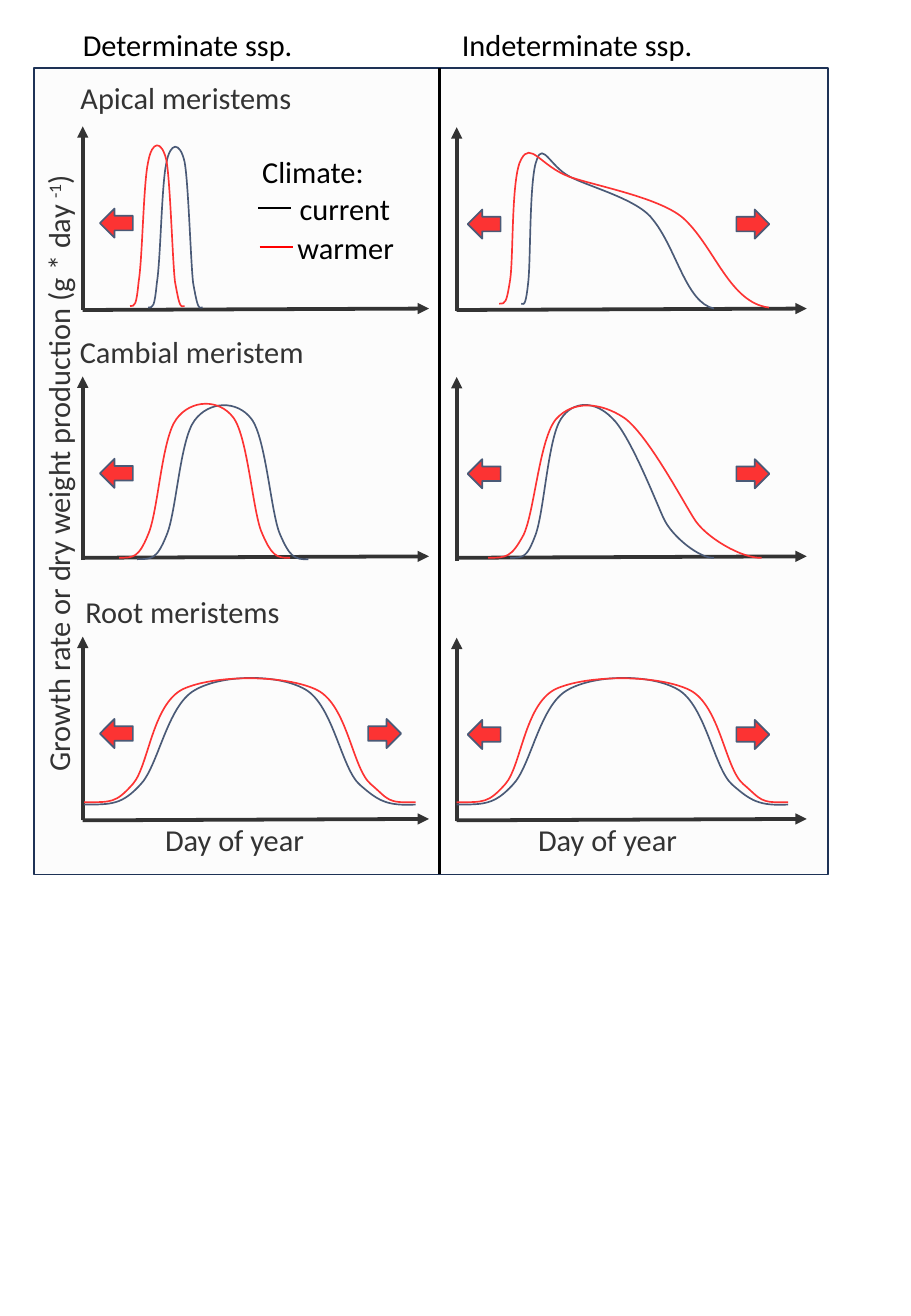
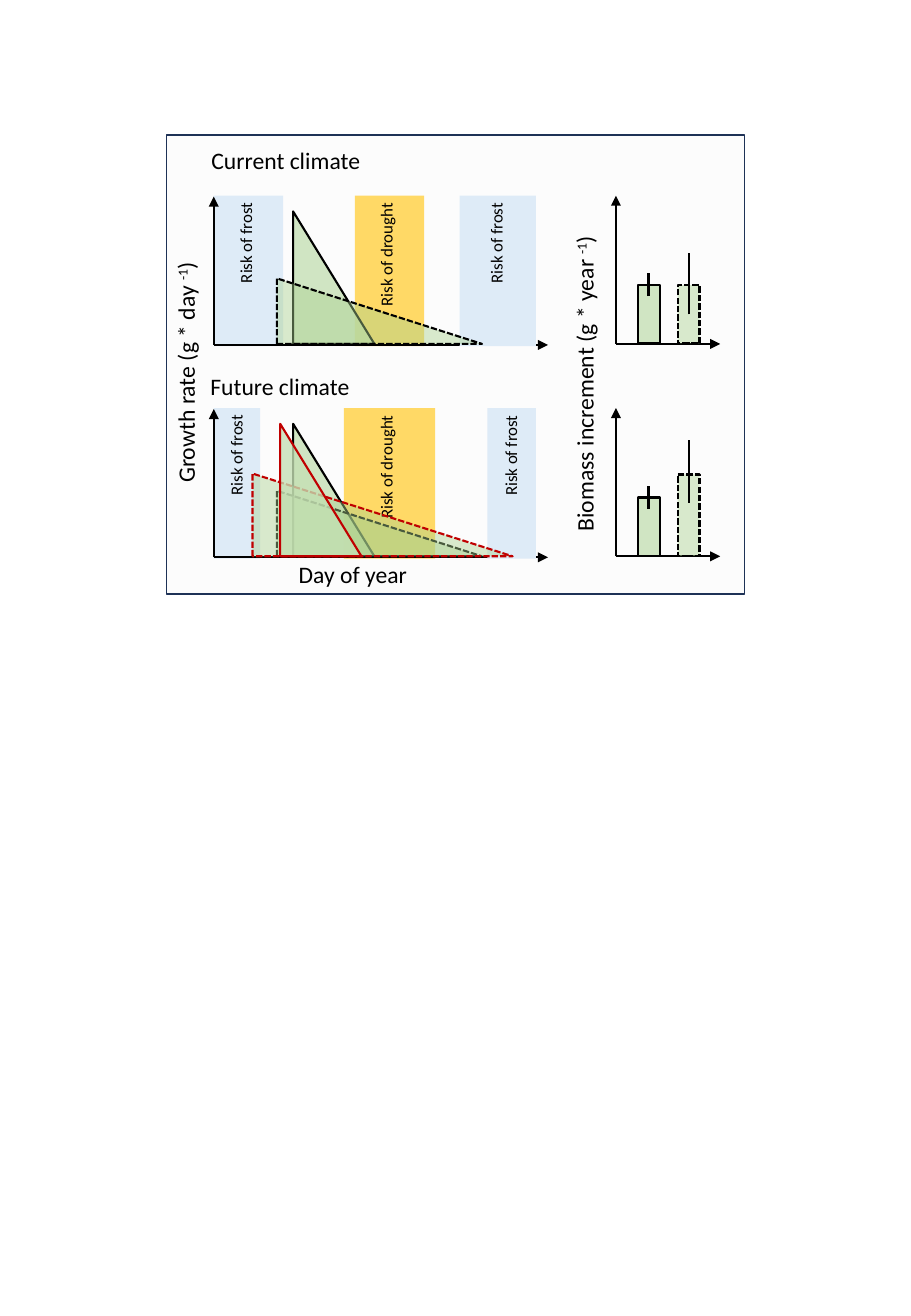
from lxml import etree
from pptx import Presentation
from pptx.dml.color import RGBColor
from pptx.enum.dml import MSO_LINE
from pptx.enum.shapes import MSO_CONNECTOR, MSO_SHAPE
from pptx.enum.text import PP_ALIGN
from pptx.oxml.ns import qn
from pptx.util import Cm, Pt

BLACK = RGBColor(0x00, 0x00, 0x00)
NAVY = RGBColor(0x1E, 0x32, 0x56)
RED = RGBColor(0xFF, 0x00, 0x00)
DARK_RED = RGBColor(0xC0, 0x00, 0x00)
GREY = RGBColor(0xF2, 0xF2, 0xF2)
FROST = RGBColor(0xDE, 0xEB, 0xF7)
DROUGHT = RGBColor(0xFF, 0xD9, 0x66)
LIGHT_GREEN = RGBColor(0xC5, 0xE0, 0xB4)
GREEN = RGBColor(0xA9, 0xD1, 0x8E)
FONT = "Calibri"
STRAIGHT = MSO_CONNECTOR.STRAIGHT
RECT = MSO_SHAPE.RECTANGLE
TRIANGLE = MSO_SHAPE.RIGHT_TRIANGLE
LEFT_ARROW = MSO_SHAPE.LEFT_ARROW
DASH = MSO_LINE.SQUARE_DOT
LEFT, CENTER = PP_ALIGN.LEFT, PP_ALIGN.CENTER


def style(shp, line=None, width=1, fill=None, alpha=100, dash=None, arrow=False):
    """Set fill, outline and arrowhead of a shape or connector, without shadow."""
    spPr = shp._element.spPr
    if fill is not None:
        shp.fill.solid()
        shp.fill.fore_color.rgb = fill
        if alpha < 100:
            color = spPr.find(qn("a:solidFill"))[0]
            etree.SubElement(color, qn("a:alpha"), val=str(alpha * 1000))
    elif hasattr(shp, "fill"):
        shp.fill.background()
    if line is None:
        shp.line.fill.background()
    else:
        shp.line.color.rgb = line
        shp.line.width = Pt(width)
        if dash:
            shp.line.dash_style = dash
    if arrow:
        etree.SubElement(spPr.find(qn("a:ln")), qn("a:tailEnd"), type="triangle")
    etree.SubElement(spPr, qn("a:effectLst"))


def add_text(s, text, x, y, w, h, size, align=CENTER, rotation=0):
    """Add a text box; a part between ^ signs is set as superscript."""
    tb = s.shapes.add_textbox(Cm(x), Cm(y), Cm(w), Cm(h))
    tb.rotation = rotation
    tf = tb.text_frame
    tf.word_wrap = size < 18
    p = tf.paragraphs[0]
    p.alignment = align
    for i, part in enumerate(text.split("^")):
        r = p.add_run()
        r.text = part
        r.font.name, r.font.size = FONT, Pt(size)
        r.font.color.rgb = BLACK
        if i % 2:
            r._r.get_or_add_rPr().set("baseline", "30000")


prs = Presentation()
prs.slide_width, prs.slide_height = Cm(19.05), Cm(27.51)
blank = prs.slide_layouts[6]

# Slide 1: growth curves, two species types by three meristems
s = prs.slides.add_slide(blank)

# Bezier points (x, height) in cm, measured from the origin of each plot
apical = [(1.37, .05), (1.47, .05), (1.5, .05), (1.55, .56), (1.63, 1.04), (1.65, 2.64),
          (1.75, 3.07), (1.83, 3.51), (2.03, 3.53), (2.13, 3.1), (2.21, 2.69), (2.26, .97),
          (2.31, .56), (2.39, .13), (2.41, 0), (2.51, .05)]
apical_long = [(1.35, .13), (1.42, .1), (1.45, .13), (1.5, .61), (1.55, 1.12), (1.52, 2.79),
               (1.68, 3.15), (1.8, 3.51), (1.96, 3), (2.36, 2.79), (2.77, 2.57), (3.81, 2.31),
               (4.11, 1.88), (4.6, 1.27), (4.8, .15), (5.38, .03)]
apical_long_warm = [(.89, .13), (1.02, .13), (1.04, .13), (1.12, .64), (1.19, 1.14),
                    (1.14, 2.79), (1.35, 3.15), (1.55, 3.53), (1.75, 3.02), (2.34, 2.79),
                    (2.9, 2.59), (4.32, 2.34), (4.78, 1.88), (5.41, 1.27), (5.72, .15),
                    (6.53, .05)]
cambial = [(1.14, -.03), (1.45, -.03), (1.55, -.03), (1.75, .46), (1.96, .94), (2.03, 2.46),
           (2.34, 2.87), (2.64, 3.28), (3.23, 3.3), (3.53, 2.9), (3.84, 2.49), (3.94, .86),
           (4.14, .46), (4.32, .05), (4.42, -.05), (4.72, -.03)]
cambial_long = [(1.12, 0), (1.4, 0), (1.47, 0), (1.65, .48), (1.83, .97), (1.91, 2.49),
                (2.18, 2.9), (2.44, 3.3), (2.9, 3.28), (3.25, 2.92), (3.61, 2.59),
                (4.14, 1.24), (4.32, .84), (4.5, .43), (5.11, -.03), (5.38, 0)]
cambial_long_warm = [(.66, 0), (1.04, 0), (1.14, 0), (1.4, .48), (1.63, .97), (1.73, 2.49),
                     (2.08, 2.9), (2.44, 3.3), (3.02, 3.25), (3.51, 2.92), (3.99, 2.57),
                     (4.7, 1.24), (4.95, .84), (5.18, .43), (5.99, -.03), (6.38, 0)]
root = [(0, .33), (.58, .33), (.79, .33), (1.17, .74), (1.55, 1.12), (1.73, 2.39),
        (2.31, 2.72), (2.87, 3.05), (4.04, 3.07), (4.62, 2.74), (5.21, 2.41), (5.38, 1.07),
        (5.77, .74), (6.15, .41), (6.32, .3), (6.93, .33)]
root_warm = [(0, .38), (.58, .38), (.66, .36), (1.02, .76), (1.35, 1.14), (1.42, 2.41),
             (2.06, 2.74), (2.72, 3.05), (4.22, 3.05), (4.88, 2.72), (5.51, 2.39),
             (5.61, 1.09), (5.99, .76), (6.38, .43), (6.32, .36), (6.93, .38)]
apical_warm = [(x - .38, h + .03) for x, h in apical]
cambial_warm = [(x - .38, h + .03) for x, h in cambial]
root_left, root_left_warm = ([(x + .03, h) for x, h in pts] for pts in (root, root_warm))

# Plots: origin, foot of the y axis, x axis length, x of the arrows, curves
X1, X2 = 1.73, 9.55
Y1, Y2, Y3 = 6.48, 11.66, 17.15
plots = [
    (X1, Y1, 6.48, 7.24, .36, None, apical, apical_warm),
    (X2, Y1, 6.5, 7.32, .23, 5.85, apical_long, apical_long_warm),
    (X1, Y2, 11.71, 7.24, .36, None, cambial, cambial_warm),
    (X2, Y2, 11.72, 7.32, .23, 5.85, cambial_long, cambial_long_warm),
    (X1, Y3, 17.15, 7.24, .36, 5.97, root_left, root_left_warm),
    (X2, Y3, 17.17, 7.32, .23, 5.85, root, root_warm),
]
for x0, y0, foot, length, earlier, later, current, warmer in plots:
    for y, x_end, y_end in ((foot, x0, foot - 3.84), (y0, x0 + length, y0 - .03)):
        axis = s.shapes.add_connector(STRAIGHT, Cm(x0), Cm(y), Cm(x_end), Cm(y_end))
        style(axis, BLACK, 2.25, arrow=True)
    for pts, color in ((current, NAVY), (warmer, RED)):
        pts = [(Cm(x0 + x), Cm(y0 - h)) for x, h in pts]
        fb = s.shapes.build_freeform(*pts[0])
        fb.add_line_segments(pts[1:], close=False)
        curve = fb.convert_to_shape()
        # Every three straight segments become one cubic curve
        segments = list(curve._element.iter(qn("a:lnTo")))
        outline = segments[0].getparent()
        for i in range(0, len(segments), 3):
            cubic = etree.SubElement(outline, qn("a:cubicBezTo"))
            for segment in segments[i:i + 3]:
                cubic.append(segment[0])
                outline.remove(segment)
        style(curve, color)
    for x, flipped in ((earlier, False), (later, True)):
        if x is not None:
            arrow = s.shapes.add_shape(LEFT_ARROW, Cm(x0 + x), Cm(foot - 2.12),
                                       Cm(.69), Cm(.61))
            if flipped:
                arrow._element.spPr.find(qn("a:xfrm")).set("flipH", "1")
            style(arrow, NAVY, fill=RED)

# Headings and axis titles
for text, x, y, w in (
    ("Determinate ssp.", 1.45, .43, 4.95),
    ("Indeterminate ssp.", 9.38, .43, 5.38),
    ("Apical meristems", 1.4, 1.52, 4.98),
    ("Cambial meristem", 1.38, 6.84, 5.26),
    ("Root meristems ", 1.5, 12.28, 4.78),
    ("Day of year", 3.18, 17.04, 3.45),
    ("Day of year", 10.98, 17.04, 3.45),
):
    add_text(s, text, x, y, w, 1.02, 18)
add_text(s, "Growth rate or dry weight production (g * day ^-1^)",
         -5.32, 9.38, 13.08, 1.02, 18, rotation=270)

# Translucent panel and divider
panel = s.shapes.add_shape(RECT, Cm(.71), Cm(1.42), Cm(16.61), Cm(16.86))
style(panel, NAVY, fill=GREY, alpha=21)
divider = s.shapes.add_connector(STRAIGHT, Cm(9.19), Cm(1.42), Cm(9.19), Cm(18.26))
style(divider, BLACK, 1.25)

# Legend
add_text(s, "Climate:", 5.21, 3.07, 2.67, 1.02, 18)
for text, x, y, w, key_x, key_y, color in (
    ("current", 5.99, 3.86, 2.44, 5.4, 4.34, BLACK),
    ("warmer", 5.96, 4.66, 2.54, 5.43, 5.16, RED),
):
    add_text(s, text, x, y, w, 1.02, 18)
    key = s.shapes.add_connector(STRAIGHT, Cm(key_x), Cm(key_y), Cm(key_x + .69), Cm(key_y))
    style(key, color, 1.25)

# Slide 2: growth rate and biomass, current and future climate
s = prs.slides.add_slide(blank)
panel = s.shapes.add_shape(RECT, Cm(3.48), Cm(2.82), Cm(12.09), Cm(9.6))
style(panel, NAVY, fill=GREY, alpha=21)

# Triangles: x, width, height, fill, alpha, line, dash
steep = (6.13, 1.7, 2.77, LIGHT_GREEN, 79, BLACK, None)
flat = (5.79, 4.29, 1.37, GREEN, 43, BLACK, DASH)
flat_future = (5.28, 5.44, 1.73, GREEN, 43, DARK_RED, DASH)
steep_future = (5.86, 1.7, 2.77, LIGHT_GREEN, 79, DARK_RED, None)

# Rows: title, its place, baseline, zones (x, width), frost label x,
# added triangles, height and error range of the dashed bar
rows = [
    ("Current climate", 4.17, 2.92, 7.21, ((4.47, 1.45), (7.42, 1.45), (9.61, 1.6)),
     (3.4, 8.64), (), 1.22, (.64, 1.93)),
    ("Future climate", 4.15, 7.65, 11.65, ((4.47, .97), (7.19, 1.91), (10.19, 1.02)),
     (3.2, 8.94), (flat_future, steep_future), 1.7, (1.14, 2.46)),
]
for title, tx, ty, y0, zones, frost_x, future, bar_h, error in rows:
    add_text(s, title, tx, ty, 6.05, .86, 14, LEFT)

    # Back to front: early zones, axes, steep triangle, late zone, flat triangle
    early, drought, late = [
        (RECT, x, y0 - 3.12, w, 3.15, color, 100, None, None)
        for (x, w), color in zip(zones, (FROST, DROUGHT, FROST))]
    growth = [(TRIANGLE, x, y0 - .02 - h, w, h, *look)
              for x, w, h, *look in (steep, flat, *future)]
    bars = [(RECT, 13.34, y0 - 1.25, .46, 1.22, LIGHT_GREEN, 79, BLACK, None),
            (RECT, 14.17, y0 - .03 - bar_h, .46, bar_h, GREEN, 43, BLACK, DASH)]
    layers = [(early, drought), (*bars, growth[0], late, growth[1]), growth[2:]]
    for n, layer in enumerate(layers):
        for preset, x, y, w, h, fill, alpha, line, dash in layer:
            shp = s.shapes.add_shape(preset, Cm(x), Cm(y), Cm(w), Cm(h))
            style(shp, line, 1.25, fill, alpha, dash)
        if n == 0:
            for ax, end, base in ((4.47, 11.46, y0), (12.88, 15.06, y0 - .02)):
                for x, y in ((ax, base - 3.1), (end, base)):
                    axis = s.shapes.add_connector(STRAIGHT, Cm(ax), Cm(base), Cm(x), Cm(y))
                    style(axis, BLACK, 1.25, arrow=True)
        if n == 1:
            for text, x, rise in (("Risk of frost", frost_x[1], 2.47),
                                  ("Risk of frost", frost_x[0], 2.48),
                                  ("Risk of drought", 6.34, 2.23)):
                add_text(s, text, x, y0 - rise, 3.48, .69, 10, rotation=270)

    # Error bars
    for x, (low, high) in ((13.56, (1.02, 1.5)), (14.4, error)):
        bar = s.shapes.add_connector(STRAIGHT, Cm(x), Cm(y0 - low), Cm(x), Cm(y0 - high))
        style(bar, BLACK, 1.25)

# Axis titles
add_text(s, "Day of year", 5.64, 11.58, 3.48, .86, 14)
add_text(s, "Growth rate (g * day ^-1^)", -2.72, 7.36, 13.21, .86, 14, rotation=270)
add_text(s, "Biomass increment (g * year ^-1^)", 5.62, 7.59, 13.21, .86, 14, rotation=270)

prs.save("out.pptx")
